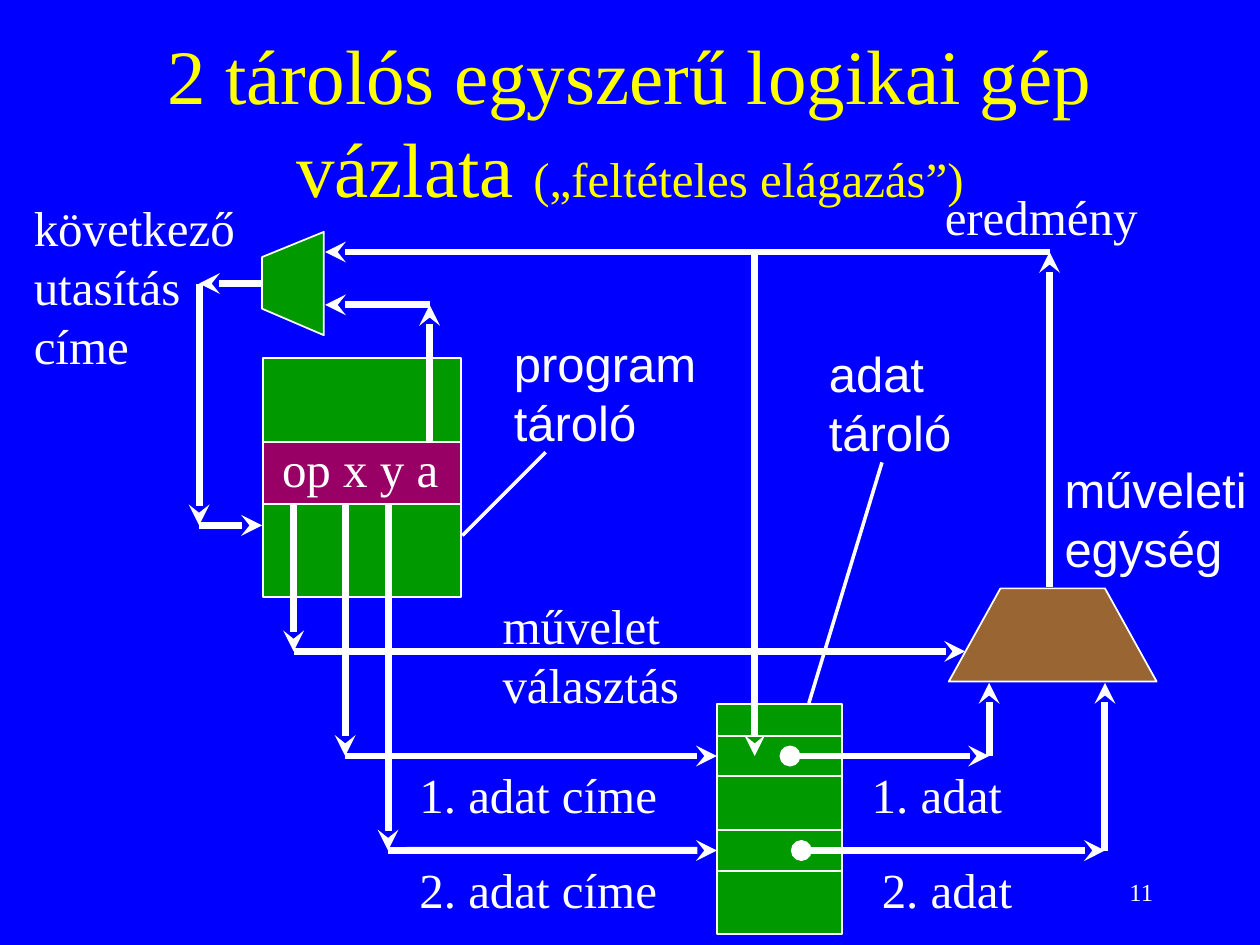
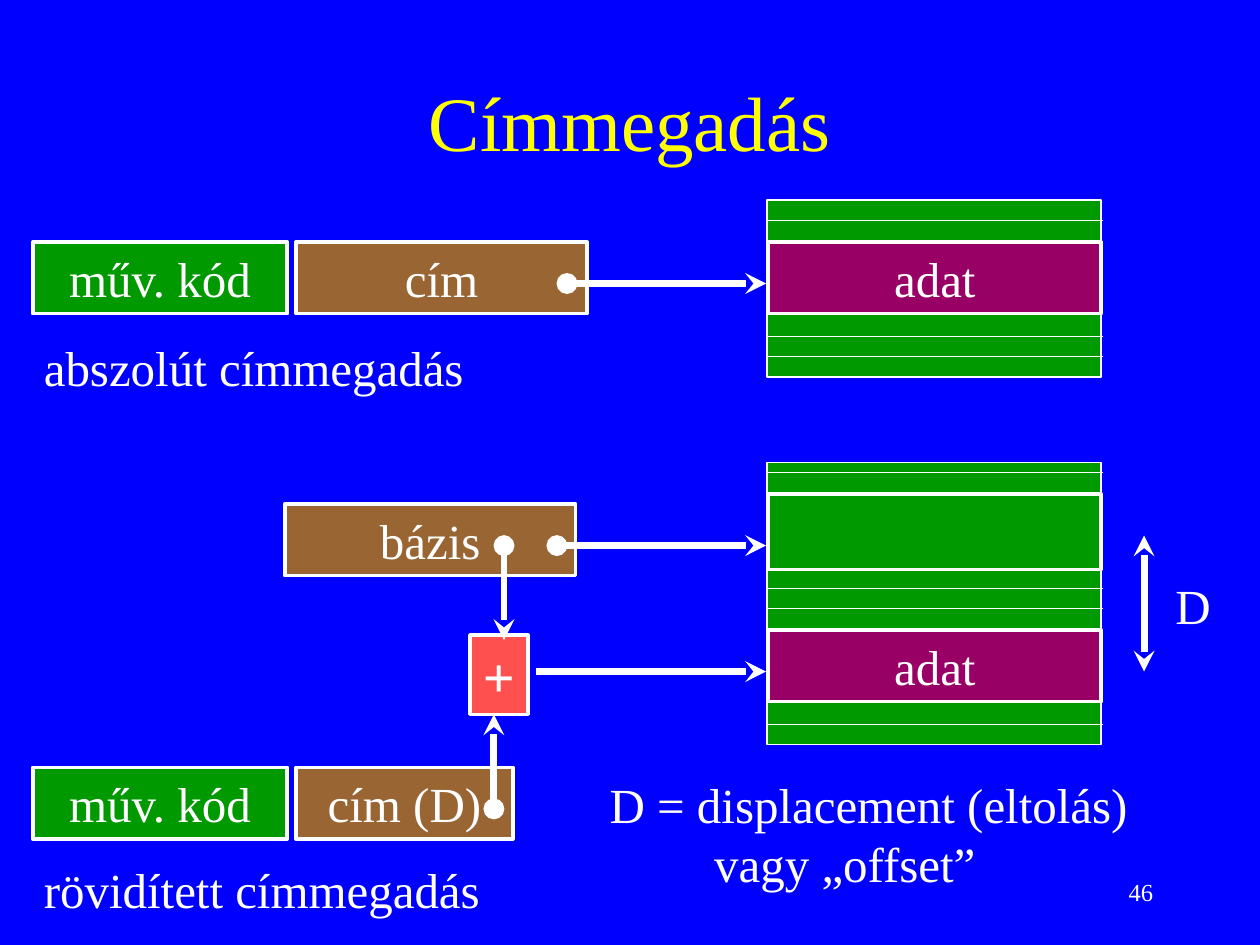
"""Builds two slides on a simple logic machine and its addressing modes."""
from dataclasses import dataclass

from lxml import etree
from pptx import Presentation
from pptx.dml.color import RGBColor
from pptx.enum.shapes import MSO_CONNECTOR, MSO_SHAPE
from pptx.enum.text import MSO_ANCHOR, MSO_AUTO_SIZE, PP_ALIGN
from pptx.oxml.ns import qn
from pptx.util import Cm, Pt

RECT, LINE = MSO_SHAPE.RECTANGLE, MSO_CONNECTOR.STRAIGHT
TOP, MIDDLE = MSO_ANCHOR.TOP, MSO_ANCHOR.MIDDLE
LEFT, CENTER, RIGHT = PP_ALIGN.LEFT, PP_ALIGN.CENTER, PP_ALIGN.RIGHT
FIXED, GROW = MSO_AUTO_SIZE.NONE, MSO_AUTO_SIZE.SHAPE_TO_FIT_TEXT
GRID = 2.54


@dataclass(frozen=True)
class Theme:
    back: str = "0000FF"
    title: str = "FFFF00"
    ink: str = "FFFFFF"
    store: str = "009900"
    word: str = "990066"
    unit: str = "996633"
    sum: str = "FF5050"
    serif: str = "Times New Roman"
    sans: str = "Arial"
    head: int = 44
    body: int = 28
    sign: int = 32
    foot: int = 14
    thin: int = 1
    edge: int = 2
    wire: int = 4


T = Theme()
TITLE_BOX = (0.75, 0.33, 8.5, 1.25)
PAGE_BOX = (7.17, 6.83, 2.08, 0.5)
ROW = 0.57
TAB = 0.83

CELL = (0.99, 0.32)
OP_X, X_X, Y_X, NEXT_X = 2.33, 2.74, 3.08, 3.41
BUS_Y, OP_Y, ONE_Y, TWO_Y = 2, 5.17, 6, 6.75
MEM_X, MEM_W = 6.09, 2.65

MACHINE = {
    "title": [("2 tárolós egyszerű logikai gép vázlata ", T.head),
              ("(„feltételes elágazás”)", T.body)],
    "page": "11",
    "blocks": [
        ("program", (2.09, 2.84, 1.57, 1.9), T.store, T.thin, ""),
        ("order", (2.09, 3.51, 1.57, 0.49), T.word, T.thin, ""),
        ("data", (5.69, 5.59, 0.99, 1.82), T.store, T.thin, ""),
        *[(name, (5.69, y - CELL[1] / 2, *CELL), T.store, T.thin, "")
          for name, y in (("one", ONE_Y), ("two", TWO_Y))],
    ],
    "outlines": [
        ([(7.53, 5.41), (9.18, 5.41), (8.77, 4.67), (7.94, 4.67)], T.unit),
        ([(2.57, 1.84), (2.57, 2.66), (2.08, 2.45), (2.08, 2.04)], T.store),
    ],
    "wires": [
        ((NEXT_X, 3.51), (NEXT_X, 2.42), "", "stealth"),
        ((NEXT_X, 2.42), (2.58, 2.42), "", "stealth"),
        ((6.27, ONE_Y), (7.85, ONE_Y), "oval", "stealth"),
        ((6.36, TWO_Y), (8.77, TWO_Y), "oval", "stealth"),
        ((7.85, ONE_Y), (7.85, 5.42), "", "stealth"),
        ((8.77, TWO_Y), (8.77, 5.42), "", "stealth"),
        *[((x, 4), (x, y), "", "stealth")
          for x, y in ((OP_X, OP_Y), (X_X, ONE_Y), (Y_X, TWO_Y))],
        ((OP_X, OP_Y), (7.66, OP_Y), "", "stealth"),
        ((X_X, ONE_Y), (5.69, ONE_Y), "", "stealth", "one"),
        ((Y_X, TWO_Y), (5.69, TWO_Y), "", "stealth", "two"),
        ((8.33, 4.66), (8.33, BUS_Y), "", "stealth"),
        ((8.33, BUS_Y), (2.58, BUS_Y), "", "stealth"),
        ((5.99, BUS_Y), (5.99, ONE_Y), "", "stealth"),
        ((2.08, 2.25), (1.58, 2.25), "", "stealth"),
        ((1.58, 2.25), (1.58, 4.17), "", "stealth"),
        ((1.58, 4.17), (2.08, 4.17), "", "stealth"),
    ],
    "rules": [((4.33, 3.59), (3.67, 4.25), T.edge),
              ((7, 3.67), (6.42, 5.58), T.edge)],
    "labels": [
        (["op x y a"], (2.14, 3.43, 1.44), T.serif),
        (["program", "tároló"], (3.98, 2.6, 1.65), T.sans),
        (["adat", "tároló"], (6.48, 2.68, 1.17), T.sans),
        (["műveleti", "egység"], (8.35, 3.6, 1.65), T.sans),
        (["művelet", "választás"], (3.89, 4.68, 1.6), T.serif),
        (["következő", "utasítás", "címe"], (0.17, 1.52, 1.8), T.serif),
        (["1. adat címe"], (3.23, 6.02, 2.09), T.serif),
        (["2. adat címe"], (3.23, 6.77, 2.09), T.serif),
        (["1. adat"], (6.82, 6.02, 1.24), T.serif),
        (["2. adat"], (6.9, 6.77, 1.24), T.serif),
        (["eredmény"], (7.4, 1.43, 1.73), T.serif),
    ],
}

MODES = {
    "title": [("Címmegadás", T.head)],
    "page": "46",
    "blocks": [
        *[("code", (0.26, y, 2.02, ROW), T.store, T.edge, "műv. kód")
          for y in (1.92, 6.09)],
        ("field", (2.35, 1.92, 2.31, ROW), T.unit, T.edge, "cím"),
        ("short", (2.35, 6.09, 1.72, ROW), T.unit, T.edge, "cím (D)"),
        ("base", (2.26, 4, 2.31, ROW), T.unit, T.edge, "bázis"),
        *[("memory", (MEM_X, y, MEM_W, tall), T.store, T.thin, "")
          for y, tall in ((1.59, 1.4), (3.67, 2.24))],
        ("origin", (6.1, 3.92, 2.64, 0.6), T.store, T.edge, ""),
        *[("datum", (6.1, y, 2.64, ROW), T.word, T.edge, "adat")
          for y in (1.92, 5)],
        ("adder", (3.73, 5.04, 0.46, 0.63), T.sum, T.edge, "+"),
    ],
    "outlines": [],
    "wires": [
        ((4.5, 2.25), (6.08, 2.25), "oval", "stealth"),
        ((3.92, 6.42), (3.92, 5.67), "oval", "stealth"),
        ((4, 4.33), (4, 5.08), "oval", "stealth"),
        ((4.25, 5.33), (6.08, 5.33), "", "stealth"),
        ((4.42, 4.33), (6.08, 4.33), "oval", "stealth"),
        ((9.08, 4.25), (9.08, 5.33), "stealth", "stealth"),
    ],
    "rules": [((6.08, y), (8.75, y), T.thin)
              for y in (1.75, 2.67, 2.83, 3.75, 4.67, 4.83, 5.75)],
    "labels": [
        (["abszolút címmegadás"], (0.25, 2.63, 3.53), T.serif),
        (["rövidített címmegadás"], (0.25, 6.77, 3.66), T.serif),
        (["D"], (9.23, 4.52, 0.48), T.serif),
        (["D = displacement (eltolás)", "\tvagy „offset”"],
         (4.74, 6.1, 4.31), T.serif),
    ],
}


def span(*vals):
    return [Cm(GRID * v) for v in vals]


def apply(item, **vals):
    for key, val in vals.items():
        setattr(item, key, val)


def write(para, text, size=T.body, face=T.serif, tint=T.ink, bold=False):
    run = para.add_run()
    run.text = text
    apply(run.font, name=face, size=Pt(size), bold=bold)
    run.font.color.rgb = RGBColor.from_string(tint)


def set_tab(para):
    tabs = etree.SubElement(para._p.get_or_add_pPr(), qn("a:tabLst"))
    etree.SubElement(tabs, qn("a:tab"), pos=str(span(TAB)[0]), algn="l")


def paint(shape, tint, width):
    shape.shadow.inherit = False
    shape.fill.solid()
    shape.fill.fore_color.rgb = RGBColor.from_string(tint)
    shape.line.color.rgb = RGBColor.from_string(T.ink)
    shape.line.width = Pt(width)


def add_title(slide, runs):
    shape = slide.shapes.title
    left, top, width, height = span(*TITLE_BOX)
    apply(shape, left=left, top=top, width=width, height=height)
    apply(shape.text_frame, vertical_anchor=MIDDLE, word_wrap=True,
          auto_size=FIXED)
    para = shape.text_frame.paragraphs[0]
    para.alignment = CENTER
    for text, size in runs:
        write(para, text, size, tint=T.title)


def add_block(slide, box, tint, width, text):
    shape = slide.shapes.add_shape(RECT, *span(*box))
    paint(shape, tint, width)
    if text:
        frame = shape.text_frame
        apply(frame, vertical_anchor=MIDDLE, word_wrap=False, auto_size=FIXED)
        para = frame.paragraphs[0]
        para.alignment = CENTER
        sign = text == "+"
        write(para, text, T.sign if sign else T.body, bold=sign)
    return shape


def add_outline(slide, points, tint):
    start, *rest = [span(*point) for point in points]
    pen = slide.shapes.build_freeform(*start)
    pen.add_line_segments(rest, close=True)
    paint(pen.convert_to_shape(), tint, T.thin)


def add_line(slide, start, end, width, head="", tail="", goal=None):
    link = slide.shapes.add_connector(LINE, *span(*start, *end))
    if goal is not None:
        link.end_connect(goal, 1)
    link.line.color.rgb = RGBColor.from_string(T.ink)
    link.line.width = Pt(width)
    stroke = link.line._get_or_add_ln()
    for tag, kind in (("a:headEnd", head), ("a:tailEnd", tail)):
        if kind:
            etree.SubElement(stroke, qn(tag), type=kind)
    etree.SubElement(link._element.spPr, qn("a:effectLst"))


def add_text(slide, lines, box, face=T.serif, size=T.body, align=LEFT,
             **form):
    frame = slide.shapes.add_textbox(*span(*box)).text_frame
    apply(frame, **form)
    for num, text in enumerate(lines):
        para = frame.add_paragraph() if num else frame.paragraphs[0]
        para.alignment = align
        if "\t" in text:
            set_tab(para)
        write(para, text, size, face)


def add_page(deck, page):
    slide = deck.slides.add_slide(deck.slide_layouts[5])
    add_title(slide, page["title"])
    blocks = {}
    for name, *look in page["blocks"]:
        blocks[name] = add_block(slide, *look)
    for points, tint in page["outlines"]:
        add_outline(slide, points, tint)
    for start, end, width in page["rules"]:
        add_line(slide, start, end, width)
    for start, end, head, tail, *goal in page["wires"]:
        target = blocks[goal[0]] if goal else None
        add_line(slide, start, end, T.wire, head, tail, target)
    for lines, (left, top, width), face in page["labels"]:
        tall = 0.1 + 0.47 * len(lines)
        add_text(slide, lines, (left, top, width, tall), face,
                 vertical_anchor=TOP, word_wrap=False, auto_size=GROW)
    add_text(slide, [page["page"]], PAGE_BOX, size=T.foot, align=RIGHT,
             vertical_anchor=MIDDLE, word_wrap=True, auto_size=FIXED)


def main():
    deck = Presentation()
    deck.slide_width, deck.slide_height = span(10, 7.5)
    fill = deck.slide_master.background.fill
    fill.solid()
    fill.fore_color.rgb = RGBColor.from_string(T.back)
    for page in (MACHINE, MODES):
        add_page(deck, page)
    deck.save("out.pptx")


if __name__ == "__main__":
    main()
